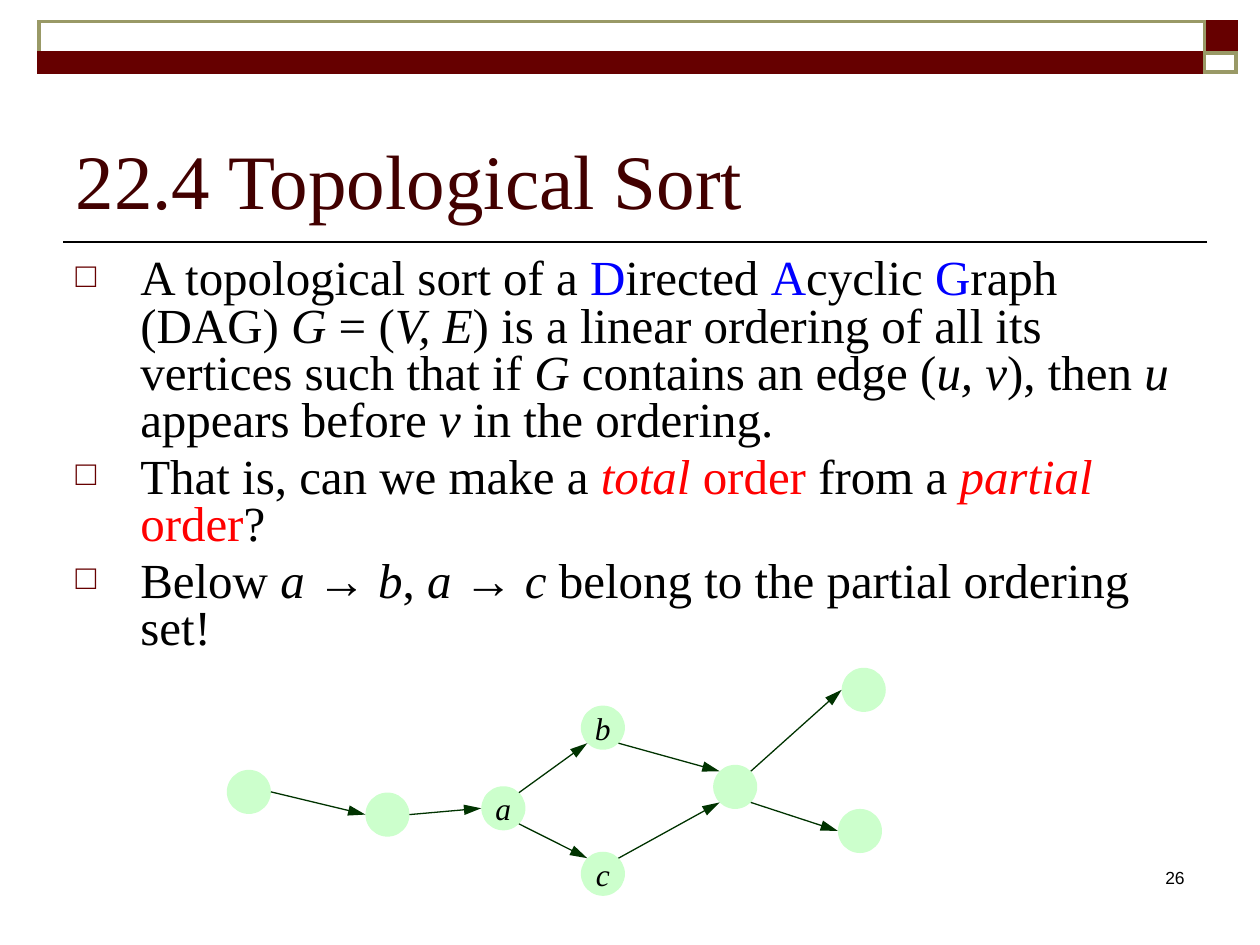
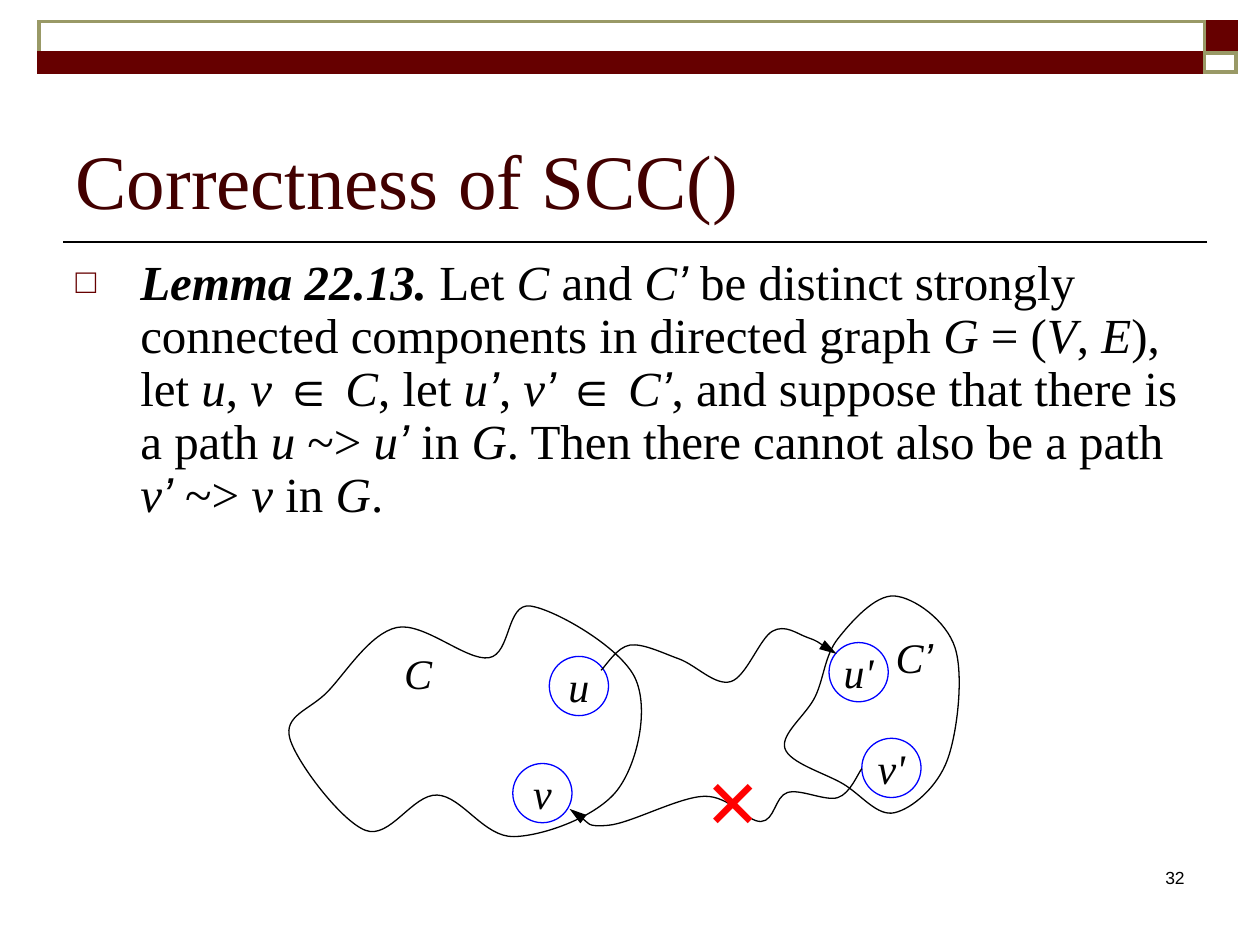
from dataclasses import dataclass
from math import cos, radians, sin
from lxml import etree
from pptx import Presentation
from pptx import util as u
from pptx.dml.color import RGBColor
from pptx.enum import shapes, text
from pptx.oxml.ns import qn


@dataclass(frozen=True)
class Theme:
    serif: str = "Times New Roman"
    sans: str = "Arial"
    title: str = "420000"
    maroon: str = "660000"
    olive: str = "999966"
    ink: str = "000000"
    blue: str = "0000FF"
    red: str = "FF0000"
    node: str = "CCFFCC"
    edge: str = "003300"
    title_size: int = 44
    body_size: int = 28
    label_size: int = 24
    node_size: int = 18
    number_size: int = 10
    cross_size: int = 54
    thin: float = 0.75


T = Theme()

SORT_BODY = [
    [("A topological sort of a ", ""), ("D", "B"), ("irected ", ""), ("A", "B"),
     ("cyclic ", ""), ("G", "B"), ("raph (DAG) ", ""), ("G", "i"), (" = (", ""),
     ("V, E", "i"), (") is a linear ordering of all its vertices such that if ", ""),
     ("G", "i"), (" contains an edge (", ""), ("u, v", "i"), ("), then ", ""),
     ("u", "i"), (" appears before ", ""), ("v", "i"), (" in the ordering.", "")],
    [("That is, can we make a ", ""), ("total", "iR"), (" order", "R"),
     (" from a ", ""), ("partial", "iR"), (" order", "R"), ("?", "")],
    [("Below ", ""), ("a ", "i"), ("→ ", ""), ("b", "i"), (", ", ""), ("a ", "i"),
     ("→ ", ""), ("c", "i"), (" belong to the partial ordering set!", "")],
]
LEMMA_BODY = [
    [("Lemma 22.13.", "bi"), (" Let ", ""), ("C", "i"), (" and ", ""), ("C", "i"),
     ("’", "ia"), (" be distinct strongly connected components in directed graph ", ""),
     ("G", "i"), (" = (", ""), ("V", "i"), (", ", ""), ("E", "i"), ("), let ", ""),
     ("u", "i"), (", ", ""), ("v ", "i"), ("∈ ", ""), ("C", "i"), (", let ", ""),
     ("u", "i"), ("’", "ia"), (", ", ""), ("v", "i"), ("’ ", "ia"), ("∈ ", ""),
     ("C", "i"), ("’", "ia"), (", and suppose that there is a path ", ""),
     ("u", "i"), (" ~> ", ""), ("u", "i"), ("’", "ia"), (" in", ""), (" G", "i"),
     (". Then there cannot also be a path ", ""), ("v", "i"), ("’", "ia"),
     (" ~> ", ""), ("v", "i"), (" in ", ""), ("G", "i"), (".", "")],
]
SLIDES = [
    dict(title="22.4 Topological Sort", number="26", body=SORT_BODY, height=3.47, spacing=0.8),
    dict(title="Correctness of SCC() ", number="32", body=LEMMA_BODY, height=2.3, spacing=0.9),
]

BANDS = [
    ((9.56, 0.17, 0.25, 0.25), T.maroon, T.maroon),
    ((0.31, 0.17, 9.25, 0.25), None, T.olive),
    ((0.31, 0.42, 9.25, 0.15), T.maroon, T.maroon),
    ((9.56, 0.42, 0.25, 0.15), None, T.olive),
]

NODE_D = 0.35
NODES = {
    "start": (1.8, 6.11, ""), "second": (2.9, 6.29, ""), "a": (3.82, 6.24, "a"),
    "b": (4.61, 5.6, "b"), "c": (4.61, 6.76, "c"), "join": (5.66, 6.07, ""),
    "upper": (6.68, 5.3, ""), "lower": (6.65, 6.42, ""),
}
EDGES = [
    ("start", 0, "second", 180), ("second", 0, "a", 180),
    ("join", 45, "lower", 180), ("join", -45, "upper", 180),
    ("c", -45, "join", 135), ("b", 45, "join", 225),
    ("a", -45, "b", 135), ("a", 45, "c", 225),
]

VERTEX_D = 0.47
GROUPED_VERTICES = [(4.36, 5.21, "u"), (6.84, 5.86, "v'")]
FREE_VERTICES = [(4.07, 6.06, "v"), (6.58, 5.1, "u'")]
COMPONENTS = [
    [(3.15, 4.98), (3.88, 5.22), (4.21, 4.81), (5.04, 5.38), (4.9, 6.27),
     (4.08, 6.64), (3.47, 6.31), (2.9, 6.59), (2.3, 5.86), (2.6, 5.49)],
    [(6.65, 5.07), (7.1, 4.73), (7.58, 5.14), (7.52, 6.03), (7.1, 6.45),
     (6.69, 6.22), (6.23, 5.94), (6.47, 5.53)],
]
PATHS = [
    [(4.77, 5.32), (5, 5.12), (5.39, 5.23), (5.8, 5.41), (6.13, 5.01), (6.41, 5.06), (6.64, 5.19)],
    [(6.84, 6.1), (6.65, 6.33), (6.25, 6.29), (6.04, 6.52), (5.59, 6.32), (4.83, 6.55), (4.52, 6.42)],
]
COMPONENT_LABELS = [
    ((3.11, 5.09, 0.42, 0.5), [("C", "i")]),
    ((7.01, 4.96, 0.5, 0.5), [("C", "i"), ("’", "ia")]),
]
CROSS = (5.51, 5.83, 0.68, 1.01)


def rgb(color):
    return RGBColor.from_string(color)


def inches(values):
    return [u.Inches(v) for v in values]


def add_runs(p, runs, size, color=T.ink):
    for words, style in runs:
        r = p.add_run()
        r.text = words
        f = r.font
        f.name = T.sans if "a" in style else T.serif
        f.size = u.Pt(size)
        f.bold, f.italic = "b" in style, "i" in style
        f.color.rgb = rgb(T.blue if "B" in style else T.red if "R" in style else color)


def add_to_line(sp, tag, **attrs):
    etree.SubElement(sp._element.spPr.find(qn("a:ln")), qn(tag), **attrs)


def add_arrowhead(sp):
    add_to_line(sp, "a:tailEnd", type="triangle", w="med", len="lg")


def paint(sp, fill=None, line=None, width=T.thin):
    if fill:
        sp.fill.solid()
        sp.fill.fore_color.rgb = rgb(fill)
    else:
        sp.fill.background()
    if line:
        sp.line.color.rgb = rgb(line)
        sp.line.width = u.Pt(width)
    else:
        sp.line.fill.background()
    sp.shadow.inherit = False


def add_line(s, start, end, color, width):
    cx = s.shapes.add_connector(shapes.MSO_CONNECTOR.STRAIGHT, *inches(start + end))
    cx.line.color.rgb = rgb(color)
    cx.line.width = u.Pt(width)
    etree.SubElement(cx._element.spPr, qn("a:effectLst"))
    return cx


def add_text(s, box, runs, size, color=T.ink, align=None, wrap=True, grow=False):
    tb = s.shapes.add_textbox(*inches(box))
    tf = tb.text_frame
    tf.word_wrap = wrap
    if grow:
        tf.auto_size = text.MSO_AUTO_SIZE.SHAPE_TO_FIT_TEXT
    p = tf.paragraphs[0]
    p.alignment = align
    add_runs(p, runs, size, color)
    return tb


def add_circle(s, x, y, d, label, size, fill=None, line=None):
    sp = s.shapes.add_shape(shapes.MSO_SHAPE.OVAL, *inches((x, y, d, d)))
    paint(sp, fill, line)
    if label:
        tf = sp.text_frame
        tf.word_wrap = False
        tf.vertical_anchor = text.MSO_ANCHOR.MIDDLE
        p = tf.paragraphs[0]
        p.alignment = text.PP_ALIGN.CENTER
        add_runs(p, [(label, "i")], size)
    return sp


def bezier_points(points, closed):
    n = len(points)

    def at(i):
        return points[i % n] if closed else points[min(max(i, 0), n - 1)]

    curve = [points[0]]
    for i in range(n if closed else n - 1):
        before, start, end, after = (at(i + k) for k in (-1, 0, 1, 2))
        curve.append(tuple(b + (c - a) / 6 for a, b, c in zip(before, start, end)))
        curve.append(tuple(c - (d - b) / 6 for b, c, d in zip(start, end, after)))
        curve.append(end)
    return curve


def add_curve(s, points, closed):
    curve = [inches(pt) for pt in bezier_points(points, closed)]
    fb = s.shapes.build_freeform(*curve[0])
    fb.add_line_segments(curve[1:], close=closed)
    sp = fb.convert_to_shape()
    segments = list(sp._element.iter(qn("a:lnTo")))
    for i in range(0, len(segments), 3):
        bezier = etree.Element(qn("a:cubicBezTo"))
        segments[i].addprevious(bezier)
        for segment in segments[i:i + 3]:
            bezier.append(segment[0])
            segment.getparent().remove(segment)
    paint(sp, line=T.ink)
    if not closed:
        add_arrowhead(sp)
    return sp


def place(sp, box):
    sp.left, sp.top, sp.width, sp.height = inches(box)
    sp.text_frame.auto_size = text.MSO_AUTO_SIZE.NONE
    return sp.text_frame


def add_bullet(p, spacing):
    p.line_spacing = spacing
    p.space_before = u.Pt(T.body_size * 0.2)
    pPr = p._p.get_or_add_pPr()
    pPr.set("marL", str(u.Pt(37)))
    pPr.set("indent", str(u.Pt(-37)))
    clr = etree.SubElement(pPr, qn("a:buClr"))
    etree.SubElement(clr, qn("a:srgbClr"), val=T.maroon)
    etree.SubElement(pPr, qn("a:buSzPct"), val="70000")
    etree.SubElement(pPr, qn("a:buChar"), char="□")


def add_master_bands(prs, s):
    parts = [add_line(s, (9.58, 1.92), (0.5, 1.92), T.ink, 1)]
    for box, fill, line in BANDS:
        sp = s.shapes.add_shape(shapes.MSO_SHAPE.RECTANGLE, *inches(box))
        paint(sp, fill, line, 2)
        add_to_line(sp, "a:miter", lim="800000")
        parts.append(sp)
    group = s.shapes.add_group_shape(parts)._element
    for i, props in enumerate(group.iter(qn("p:cNvPr"))):
        props.set("id", str(100 + i))
    prs.slide_master.shapes._spTree.append(group)


def fill_slide(s, title, number, body, height, spacing):
    add_text(s, (7.42, 6.83, 2.08, 0.5), [(number, "a")], T.number_size,
             align=text.PP_ALIGN.RIGHT)

    tf = place(s.shapes.title, (0.5, 7 / 12, 9, 1.25))
    tf.vertical_anchor = text.MSO_ANCHOR.BOTTOM
    tf.paragraphs[0].alignment = text.PP_ALIGN.LEFT
    add_runs(tf.paragraphs[0], [(title, "")], T.title_size, T.title)

    tf = place(s.placeholders[1], (0.5, 2, 9, height))
    for i, runs in enumerate(body):
        p = tf.add_paragraph() if i else tf.paragraphs[0]
        add_bullet(p, spacing)
        add_runs(p, runs, T.body_size)


def node_edge_point(name, angle):
    x, y, _ = NODES[name]
    r = NODE_D / 2
    return x + r + r * cos(radians(angle)), y + r + r * sin(radians(angle))


def draw_partial_order(s):
    parts = [add_circle(s, x, y, NODE_D, label, T.node_size, fill=T.node)
             for x, y, label in NODES.values()]
    for tail, leave, head, arrive in EDGES:
        cx = add_line(s, node_edge_point(tail, leave), node_edge_point(head, arrive),
                      T.edge, T.thin)
        add_arrowhead(cx)
        parts.append(cx)
    s.shapes.add_group_shape(parts)


def add_vertices(s, vertices):
    return [add_circle(s, x, y, VERTEX_D, label, T.label_size, line=T.blue)
            for x, y, label in vertices]


def draw_components(s):
    parts = [add_curve(s, points, closed=True) for points in COMPONENTS]
    parts += add_vertices(s, GROUPED_VERTICES)
    parts += [add_text(s, box, runs, T.label_size, wrap=False, grow=True)
              for box, runs in COMPONENT_LABELS]
    s.shapes.add_group_shape(parts)
    add_vertices(s, FREE_VERTICES)
    for points in PATHS:
        add_curve(s, points, closed=False)
    add_text(s, CROSS, [("×", "b")], T.cross_size, T.red, grow=True)


prs = Presentation()
prs.slide_width, prs.slide_height = inches((10, 7.5))
for content, draw in zip(SLIDES, (draw_partial_order, draw_components)):
    s = prs.slides.add_slide(prs.slide_layouts[1])
    fill_slide(s, **content)
    draw(s)
add_master_bands(prs, s)
prs.save("out.pptx")
